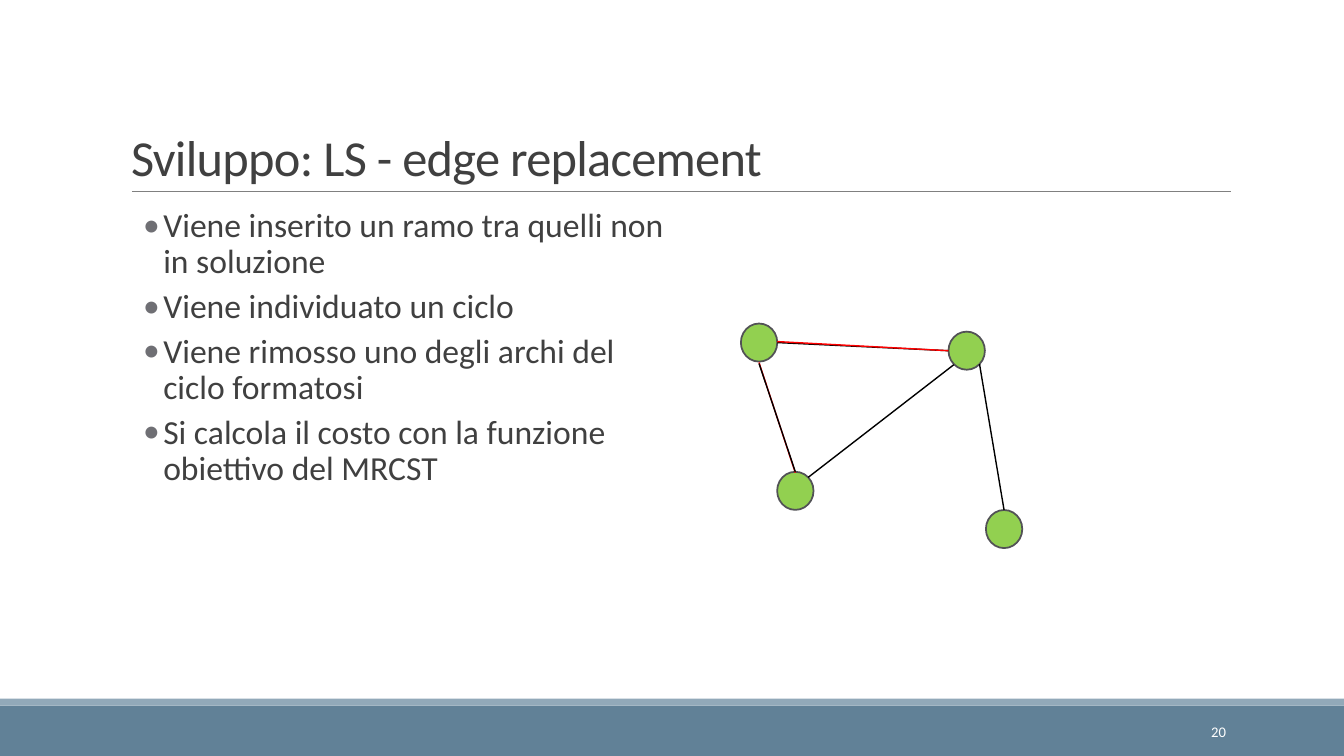
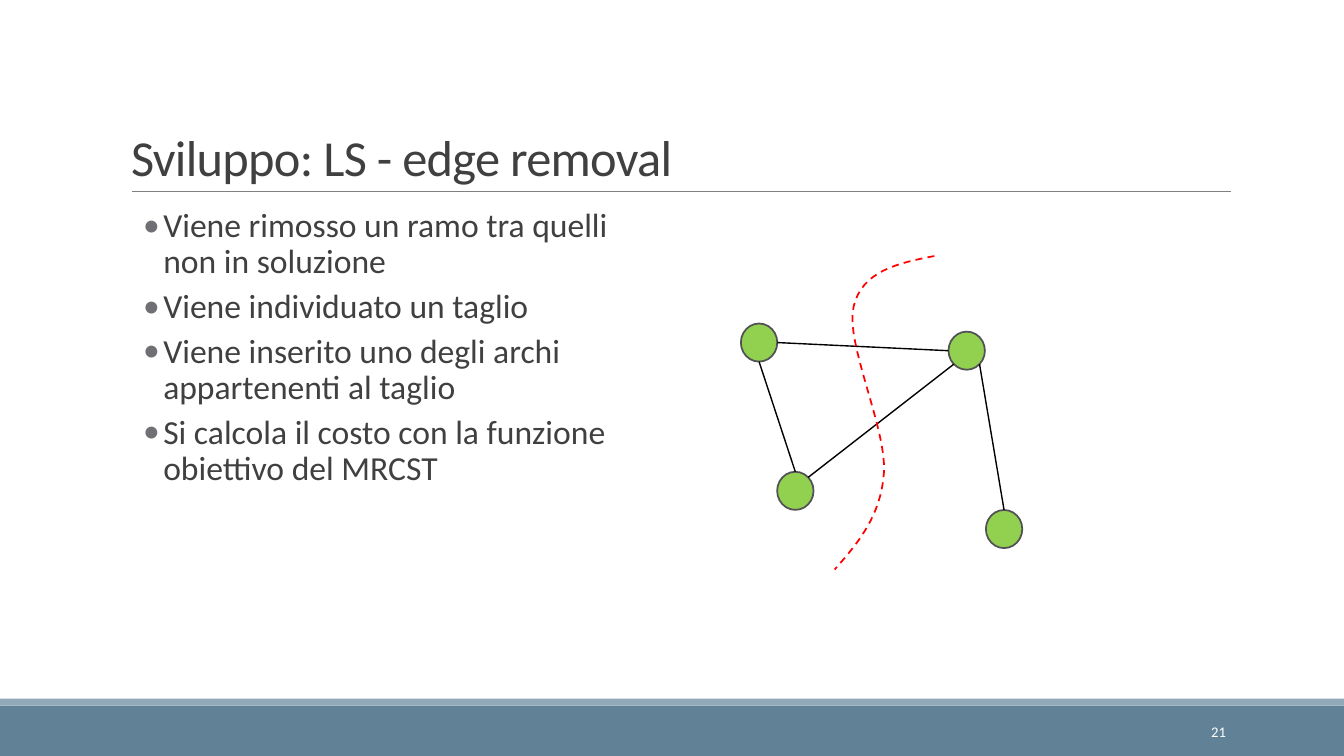
from dataclasses import dataclass
from math import cos, radians, sin

from lxml.etree import SubElement
from pptx import Presentation
from pptx.dml.color import RGBColor
from pptx.enum.dml import MSO_LINE
from pptx.enum.shapes import MSO_CONNECTOR, MSO_SHAPE
from pptx.enum.text import MSO_ANCHOR, MSO_AUTO_SIZE, PP_ALIGN
from pptx.oxml.ns import qn
from pptx.util import Pt


@dataclass(frozen=True)
class Theme:
    font: str = "Calibri"
    text: str = "404040"
    bullet: str = "6F6F74"
    band: str = "618197"
    band_edge: str = "92A9B9"
    grey: str = "808080"
    node: str = "92D050"
    node_edge: str = "525256"
    black: str = "000000"
    red: str = "FF0000"
    white: str = "FFFFFF"
    title_size: float = 36
    body_size: float = 24
    number_size: float = 10.5


THEME = Theme()
WIDTH, HEIGHT = 960, 540

# Graph: top-left corner of each node, and the angles where an edge leaves and arrives
NODE_SIZE = (26, 27.2)
NODES = {"A": (529.2, 231.1), "B": (677.5, 236.9), "C": (555.1, 337), "D": (704.2, 364.3)}
EDGES = {
    "AB": (0, 180),
    "AC": (90, 270),
    "BD": (45, 270),
    "CB": (315, 135),
}
CUT = [
    ((667.4, 182.9), (641.5, 187.9), (615.6, 193.7), (609.8, 218.9)),
    ((609.8, 218.9), (603.4, 244.8), (633.6, 306), (631.4, 337.7)),
    ((631.4, 337.7), (629.3, 368.6), (612.7, 388.1), (596.2, 406.8)),
]
CUT_STEPS = 16

# Edges are (name, colour, vertical shift of start, of end), from back to front
SLIDES = [
    {
        "number": 20,
        "title": "Sviluppo: LS - edge replacement",
        "points": [
            "Viene inserito un ramo tra quelli non in soluzione",
            "Viene individuato un ciclo",
            "Viene rimosso uno degli archi del ciclo formatosi",
            "Si calcola il costo con la funzione obiettivo del MRCST",
        ],
        "edges": [
            ("AB", THEME.black, 0, 0),
            ("BD", THEME.black, 0, 0),
            ("AB", THEME.red, -0.7, 0),
            ("AC", THEME.red, 0.7, 0.7),
            ("AC", THEME.black, 1.4, 0),
            ("CB", THEME.black, 0, 0.4),
        ],
        "cut": [],
    },
    {
        "number": 21,
        "title": "Sviluppo: LS - edge removal",
        "points": [
            "Viene rimosso un ramo tra quelli non in soluzione",
            "Viene individuato un taglio",
            "Viene inserito uno degli archi appartenenti al taglio",
            "Si calcola il costo con la funzione obiettivo del MRCST",
        ],
        "edges": [
            ("BD", THEME.black, 0, 0),
            ("AB", THEME.black, 0, 0),
            ("AC", THEME.black, 0, 0),
            ("CB", THEME.black, 0, 0),
        ],
        "cut": CUT,
    },
]


def colour(value):
    return RGBColor.from_string(value)


def add_block(page, kind, box, fill, line=None, weight=1.25):
    shape = page.shapes.add_shape(kind, *map(Pt, box))
    shape.shadow.inherit = False
    shape.fill.solid()
    shape.fill.fore_color.rgb = colour(fill)
    if line:
        shape.line.color.rgb = colour(line)
        shape.line.width = Pt(weight)
    else:
        shape.line.fill.background()
    return shape


def add_line(page, start, end, ink, weight=1):
    line = page.shapes.add_connector(MSO_CONNECTOR.STRAIGHT, *map(Pt, (*start, *end)))
    line.line.color.rgb = colour(ink)
    line.line.width = Pt(weight)
    SubElement(line.element.spPr, qn("a:effectLst"))
    return line


def format_para(para, size, ink):
    for span in para.runs:
        span.font.name = THEME.font
        span.font.size = Pt(size)
        span.font.color.rgb = colour(ink)


def add_text_box(page, box, text):
    frame = page.shapes.add_textbox(*map(Pt, box)).text_frame
    frame.word_wrap = True
    frame.text = text
    return frame


def add_bullet(para):
    props = para._p.get_or_add_pPr()
    props.set("marL", str(Pt(30.24)))
    props.set("indent", str(Pt(-14.4)))
    ink = SubElement(SubElement(props, qn("a:buClr")), qn("a:srgbClr"))
    ink.set("val", THEME.bullet)
    SubElement(props, qn("a:buFont")).set("typeface", THEME.font)
    SubElement(props, qn("a:buChar")).set("char", "•")


def add_frame(page):
    # Bottom bands and the rule under the title
    add_block(page, MSO_SHAPE.RECTANGLE, (0, 504, WIDTH, 36), THEME.band)
    add_block(page, MSO_SHAPE.RECTANGLE, (0, 499, WIDTH, 5), THEME.band_edge)
    add_line(page, (94.3, 136.8), (879, 136.8), THEME.grey, 0.5)


def set_title(page, text):
    title = page.shapes.title
    title.left, title.top, title.width, title.height = map(Pt, (86.4, 22.3, 792, 114.5))
    frame = title.text_frame
    frame.text = text
    frame.word_wrap = True
    frame.auto_size = MSO_AUTO_SIZE.NONE
    frame.vertical_anchor = MSO_ANCHOR.BOTTOM
    para = frame.paragraphs[0]
    para.alignment = PP_ALIGN.LEFT
    para.line_spacing = 0.85
    format_para(para, THEME.title_size, THEME.text)
    para.runs[0].font._element.set("spc", "-50")


def add_points(page, points):
    frame = add_text_box(page, (86.4, 145.4, 388.8, 265.7), "\n".join(points))
    frame.margin_left = frame.margin_right = 0
    for para in frame.paragraphs:
        para.level = 1
        para.line_spacing = 0.9
        para.space_before = Pt(2)
        para.space_after = Pt(4)
        add_bullet(para)
        format_para(para, THEME.body_size, THEME.text)


def rim_point(node, angle, shift):
    (left, top), (width, height) = NODES[node], NODE_SIZE
    turn = radians(angle)
    return (left + width / 2 * (1 + cos(turn)), top + height / 2 * (1 + sin(turn)) + shift)


def add_graph(page, edges):
    for corner in NODES.values():
        add_block(page, MSO_SHAPE.OVAL, (*corner, *NODE_SIZE), THEME.node, THEME.node_edge)
    for name, ink, start_shift, end_shift in edges:
        leave, arrive = EDGES[name]
        start = rim_point(name[0], leave, start_shift)
        end = rim_point(name[1], arrive, end_shift)
        add_line(page, start, end, ink)


def curve_point(curve, t):
    weights = ((1 - t) ** 3, 3 * t * (1 - t) ** 2, 3 * t * t * (1 - t), t ** 3)
    return tuple(Pt(sum(w * p[axis] for w, p in zip(weights, curve))) for axis in (0, 1))


def add_cut(page, curves):
    builder = page.shapes.build_freeform(*curve_point(curves[0], 0))
    builder.add_line_segments(
        [curve_point(curve, step / CUT_STEPS) for curve in curves for step in range(1, CUT_STEPS + 1)],
        close=False,
    )
    cut = builder.convert_to_shape()
    cut.shadow.inherit = False
    cut.fill.background()
    cut.line.color.rgb = colour(THEME.red)
    cut.line.width = Pt(1.25)
    cut.line.dash_style = MSO_LINE.DASH


def add_number(page, number):
    frame = add_text_box(page, (779.8, 508.3, 103, 28.8), str(number))
    frame.vertical_anchor = MSO_ANCHOR.MIDDLE
    para = frame.paragraphs[0]
    para.alignment = PP_ALIGN.RIGHT
    format_para(para, THEME.number_size, THEME.white)


def main():
    deck = Presentation()
    deck.slide_width, deck.slide_height = Pt(WIDTH), Pt(HEIGHT)
    title_only = deck.slide_layouts[5]
    for content in SLIDES:
        page = deck.slides.add_slide(title_only)
        add_frame(page)
        set_title(page, content["title"])
        add_points(page, content["points"])
        add_graph(page, content["edges"])
        if content["cut"]:
            add_cut(page, content["cut"])
        add_number(page, content["number"])
    deck.save("out.pptx")


if __name__ == "__main__":
    main()
